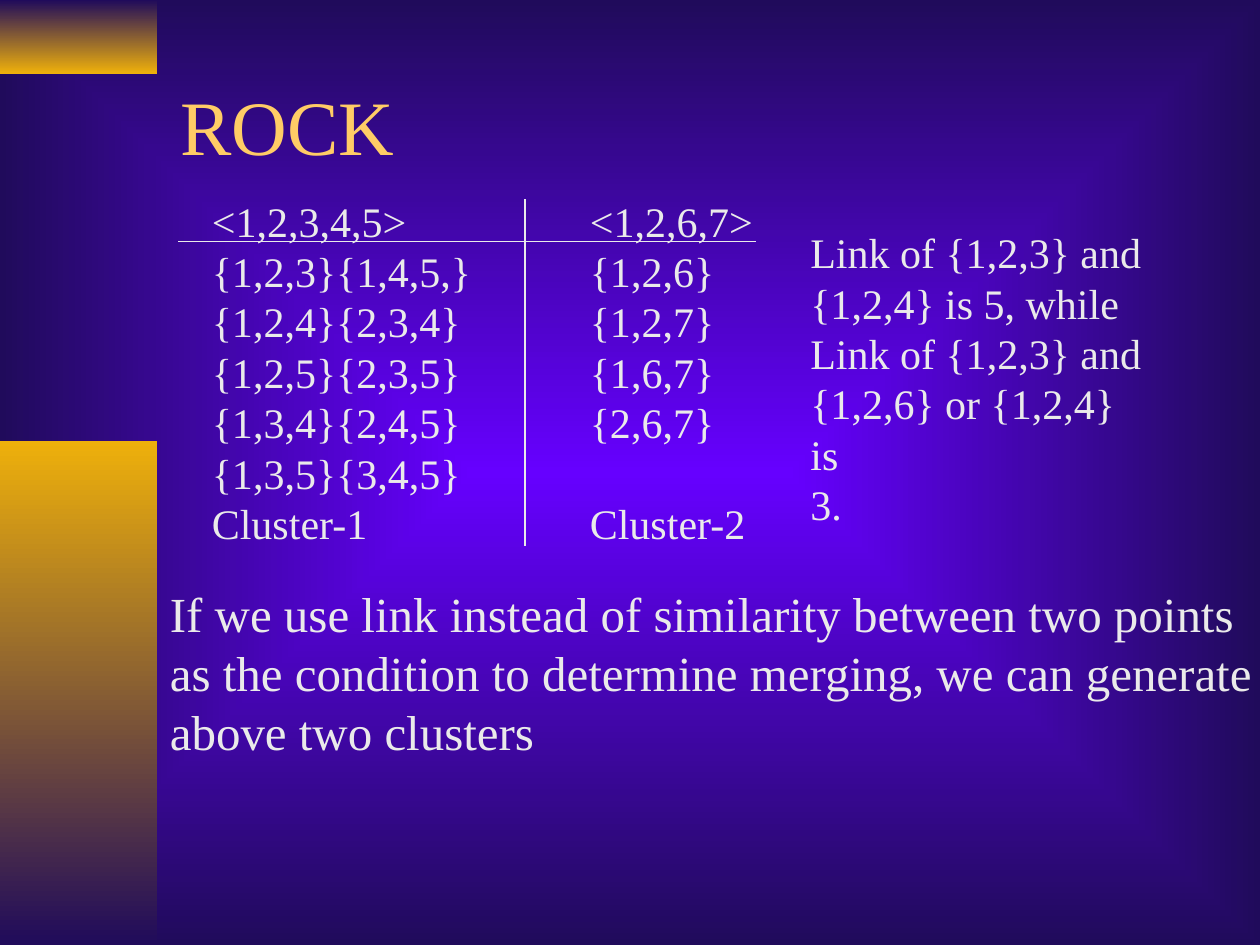
from lxml.etree import SubElement
from pptx import Presentation
from pptx.dml.color import RGBColor
from pptx.enum.shapes import MSO_CONNECTOR, MSO_SHAPE
from pptx.enum.text import MSO_ANCHOR, MSO_AUTO_SIZE
from pptx.oxml.ns import qn
from pptx.util import Inches, Pt

# The slide is laid out on a grid of 120 columns by 90 rows
COLUMNS, ROWS = 120, 90
WIDTH, HEIGHT = Inches(10), Inches(7.5)
FONT = "Times New Roman"
NAVY, VIOLET, GOLD = "200B5B", "6600FF", "EEB00B"
TITLE_COLOR, BODY_COLOR = "FFCC66", "EAEAEA"

CLUSTER_ROWS = [
    ("<1,2,3,4,5>", "<1,2,6,7>"),
    ("{1,2,3}{1,4,5,}", "{1,2,6}"),
    ("{1,2,4}{2,3,4}", "{1,2,7}"),
    ("{1,2,5}{2,3,5}", "{1,6,7}"),
    ("{1,3,4}{2,4,5}", "{2,6,7}"),
    ("{1,3,5}{3,4,5}",),
    ("Cluster-1", "Cluster-2"),
]
LINK_LINES = [
    "Link of {1,2,3} and",
    "{1,2,4} is 5, while",
    "Link of {1,2,3} and",
    "{1,2,6} or {1,2,4} is",
    "3.",
]
CONCLUSION_LINES = [
    "If we use link instead of similarity between two points",
    "as the condition to determine merging, we can generate",
    "above two clusters",
]


def color(value):
    return RGBColor.from_string(value)


def across(columns):
    return int(WIDTH * columns / COLUMNS)


def down(rows):
    return int(HEIGHT * rows / ROWS)


def place(left, top, width, height):
    return across(left), down(top), across(width), down(height)


def fill_gradient(fill, start, end):
    fill.gradient()
    for stop, value in zip(fill.gradient_stops, (start, end)):
        stop.color.rgb = color(value)


def add_background(slide):
    """Rectangular glow from the centre of the slide."""
    fill_gradient(slide.background.fill, VIOLET, NAVY)
    gradient = slide.element.find(".//" + qn("a:gradFill"))
    gradient.remove(gradient.find(qn("a:lin")))
    glow = SubElement(gradient, qn("a:path"))
    glow.set("path", "rect")
    center = SubElement(glow, qn("a:fillToRect"))
    for side in "ltrb":
        center.set(side, "50000")


def add_side_band(slide, box, top_color, bottom_color):
    band = slide.shapes.add_shape(MSO_SHAPE.RECTANGLE, *place(*box))
    band.shadow.inherit = False
    band.line.fill.background()
    fill_gradient(band.fill, top_color, bottom_color)
    band.fill.gradient_angle = 270


def add_text(slide, box, lines, size, value=BODY_COLOR, anchor=MSO_ANCHOR.TOP, wrap=False):
    text_box = slide.shapes.add_textbox(*place(*box))
    frame = text_box.text_frame
    frame.word_wrap = wrap
    frame.auto_size = MSO_AUTO_SIZE.NONE if wrap else MSO_AUTO_SIZE.SHAPE_TO_FIT_TEXT
    frame.vertical_anchor = anchor
    for index, line in enumerate(lines):
        paragraph = frame.paragraphs[0] if index == 0 else frame.add_paragraph()
        run = paragraph.add_run()
        run.text = line
        run.font.name = FONT
        run.font.size = Pt(size)
        run.font.color.rgb = color(value)
    return frame


def add_rule(slide, left, top, right, bottom):
    rule = slide.shapes.add_connector(
        MSO_CONNECTOR.STRAIGHT, across(left), down(top), across(right), down(bottom))
    rule.line.color.rgb = color(BODY_COLOR)
    rule.line.width = Pt(1)
    SubElement(rule._element.spPr, qn("a:effectLst"))


def add_clusters(slide, box):
    """Two tabbed columns, with a rule under the heads and one between."""
    left, top, width, height = box
    frame = add_text(slide, box, ["\t".join(row) for row in CLUSTER_ROWS], 24)
    for paragraph in frame.paragraphs:
        tabs = SubElement(paragraph._p.get_or_add_pPr(), qn("a:tabLst"))
        stop = SubElement(tabs, qn("a:tab"))
        stop.set("pos", str(across(36)))
        stop.set("algn", "l")
    add_rule(slide, left - 2, top + 5, left + width - 1, top + 5)
    add_rule(slide, left + 31, top + 1, left + 31, top + height - 1)


def main():
    presentation = Presentation()
    presentation.slide_width, presentation.slide_height = WIDTH, HEIGHT
    slide = presentation.slides.add_slide(presentation.slide_layouts[6])

    # Background and side bands
    add_background(slide)
    add_side_band(slide, (0, 0, 15, 7), NAVY, GOLD)
    add_side_band(slide, (0, 42, 15, 48), GOLD, NAVY)

    # Title
    add_text(slide, (16, 4, 102, 15.8), ["ROCK"], 44, TITLE_COLOR, MSO_ANCHOR.MIDDLE, True)

    # Clusters, conclusion and link counts
    add_clusters(slide, (19, 18, 54, 35))
    add_text(slide, (15, 55, 106.7, 18), CONCLUSION_LINES, 28)
    add_text(slide, (76, 21, 35, 30), LINK_LINES, 24)

    presentation.save("out.pptx")


if __name__ == "__main__":
    main()
